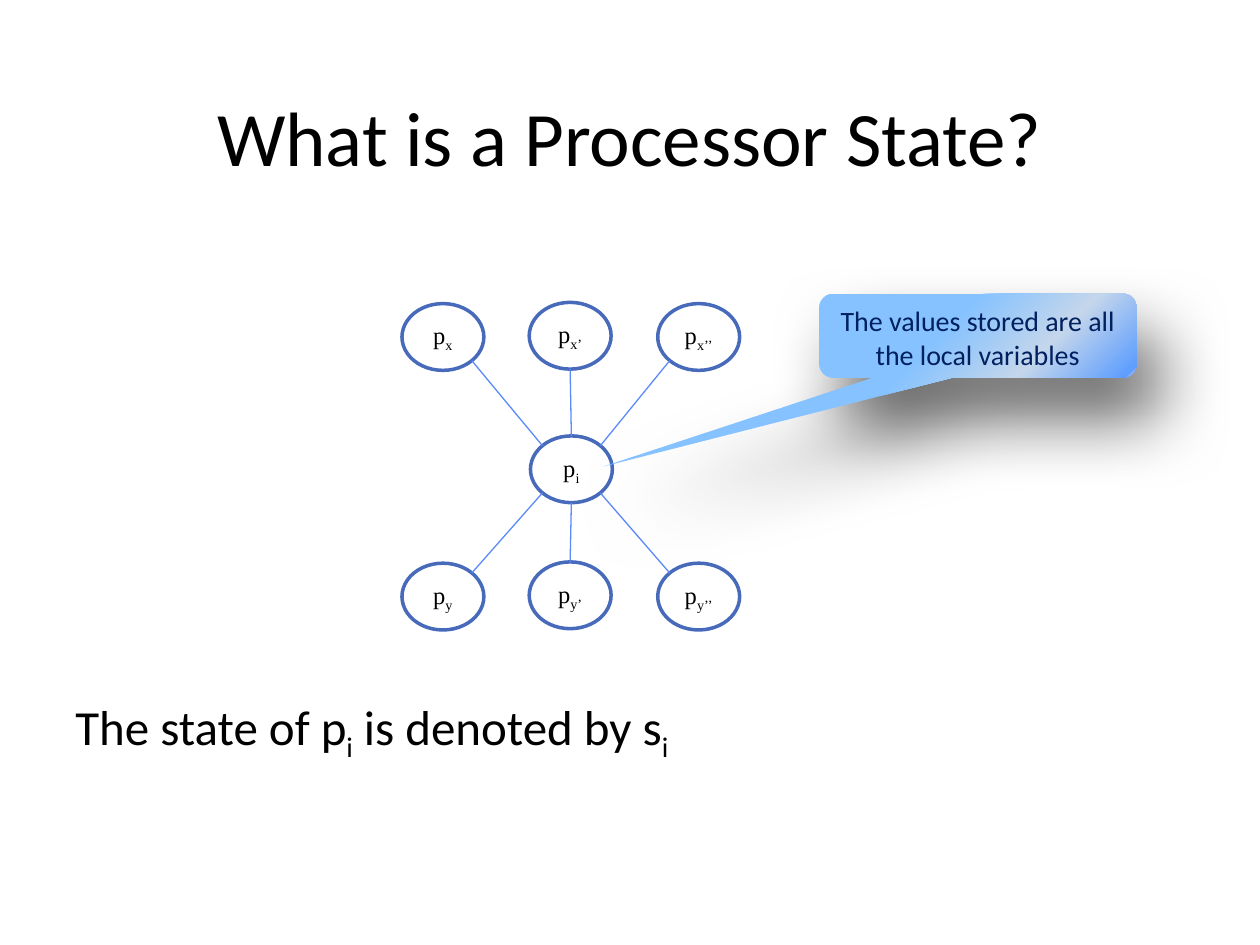
"""Build the processor state slide with its network of processors."""
from lxml import etree
from pptx import Presentation
from pptx import util as u
from pptx.dml.color import RGBColor
from pptx.enum import shapes, text
from pptx.oxml import ns

BLACK = RGBColor(0x00, 0x00, 0x00)
NAVY = RGBColor(0x00, 0x20, 0x60)
NODE_BLUE = RGBColor(0x48, 0x6A, 0xBB)
LINK_BLUE = RGBColor(0x5B, 0x8A, 0xFB)
CALLOUT_STOPS = [
    (40, RGBColor(0x85, 0xC2, 0xFF)),
    (70, RGBColor(0xC4, 0xD6, 0xEB)),
    (97, RGBColor(0x5E, 0x9E, 0xFF)),
    (100, RGBColor(0xFF, 0xEB, 0xFA)),
]
NODE_WIDTH, NODE_HEIGHT = 0.65, 0.53
CENTER_NODE = (4.21, 3.46)
COLUMNS = [(3.19, 0.01, -1), (4.2, 0, 0), (5.22, 0.01, 1)]
ROWS = [("x", 2.4, -1), ("y", 4.46, 1)]


def add_child(parent, tag, **values):
    child = etree.SubElement(parent, ns.qn(tag))
    for name, value in values.items():
        child.set(name, str(value))
    return child


def rim_point(corner, across, down):
    reach = 0.5 ** 0.5 if across else 1
    return (corner[0] + NODE_WIDTH / 2 * (1 + across * reach),
            corner[1] + NODE_HEIGHT / 2 * (1 + down * reach))


class SlideBuilder:
    def __init__(self, slide):
        self.page = slide.shapes
        self.title = {"name": "Calibri", "size": u.Pt(44), "color": BLACK}
        self.body = {"name": "Calibri", "size": u.Pt(28), "color": BLACK}
        self.label = {"name": "Times New Roman", "size": u.Pt(14), "color": BLACK}
        self.note = {"name": "Calibri", "size": u.Pt(16), "color": NAVY}

    def fill_text(self, box, spans, style, align, anchor, **frame_values):
        frame = box.text_frame
        values = {"word_wrap": True, "vertical_anchor": anchor, **frame_values}
        for name, value in values.items():
            setattr(frame, name, value)
        para = frame.paragraphs[0]
        para.alignment = align
        for index, words in enumerate(spans):
            span = para.add_run()
            span.text = words
            for name, value in style.items():
                if name == "color":
                    span.font.color.rgb = value
                else:
                    setattr(span.font, name, value)
            if index % 2:
                span.font._element.set("baseline", "-25000")

    def add_text(self, area, spans, style, align, anchor):
        box = self.page.add_textbox(*map(u.Inches, area))
        self.fill_text(box, spans, style, align, anchor)

    def add_node(self, corner, subscript):
        area = (*corner, NODE_WIDTH, NODE_HEIGHT)
        box = self.page.add_shape(shapes.MSO_SHAPE.OVAL, *map(u.Inches, area))
        box.shadow.inherit = False
        box.fill.background()
        box.line.color.rgb = NODE_BLUE
        box.line.width = u.Pt(2)
        self.fill_text(box, ["p", subscript], self.label, text.PP_ALIGN.CENTER,
                       text.MSO_ANCHOR.MIDDLE, word_wrap=False)

    def add_link(self, start, end):
        link = self.page.add_connector(shapes.MSO_CONNECTOR.STRAIGHT,
                                       *map(u.Inches, (*start, *end)))
        link.line.color.rgb = LINK_BLUE
        link.line.width = u.Pt(0.75)
        add_child(link._element.spPr, "a:effectLst")

    def add_callout(self, area, adjustments, words):
        box = self.page.add_shape(shapes.MSO_SHAPE.ROUNDED_RECTANGULAR_CALLOUT,
                                  *map(u.Inches, area))
        for index, value in enumerate(adjustments):
            box.adjustments[index] = value
        box.line.fill.background()
        box.fill.gradient()
        box.fill.gradient_angle = 315
        properties = box._element.spPr
        stops = properties.find(".//" + ns.qn("a:gsLst"))
        for stop in list(stops):
            stops.remove(stop)
        for position, color in CALLOUT_STOPS:
            stop = add_child(stops, "a:gs", pos=position * 1000)
            add_child(stop, "a:srgbClr", val=color)
        box.shadow.inherit = False
        shadow = add_child(properties.find(ns.qn("a:effectLst")), "a:outerShdw",
                           blurRad=u.Pt(41), dist=u.Pt(27), dir=61 * 60000,
                           rotWithShape=0)
        shade = add_child(shadow, "a:srgbClr", val=BLACK)
        add_child(shade, "a:alpha", val=60000)
        self.fill_text(box, [words], self.note, text.PP_ALIGN.CENTER,
                       text.MSO_ANCHOR.TOP)


def main():
    deck = Presentation()
    deck.slide_width, deck.slide_height = u.Inches(10), u.Inches(7.5)
    builder = SlideBuilder(deck.slides.add_slide(deck.slide_layouts[6]))
    builder.add_text((0.5, 0.45, 9, 1.25), ["What is a Processor State?"],
                     builder.title, text.PP_ALIGN.CENTER, text.MSO_ANCHOR.MIDDLE)
    builder.add_text((0.5, 5.48, 9, 1.02),
                     ["The state of p", "i", " is denoted by s", "i"],
                     builder.body, text.PP_ALIGN.LEFT, text.MSO_ANCHOR.TOP)
    builder.add_node(CENTER_NODE, "i")
    for letter, top, down in ROWS:
        for primes, (left, drop, across) in enumerate(COLUMNS):
            corner = (left, top + drop)
            builder.add_node(corner, letter + "’" * primes)
            builder.add_link(rim_point(corner, -across, -down),
                             rim_point(CENTER_NODE, across, down))
    builder.add_callout((6.5, 2.33, 2.52, 0.67), (-1.18, 1.55, 0.17),
                        "The values stored are all the local variables")
    deck.save("out.pptx")


if __name__ == "__main__":
    main()
